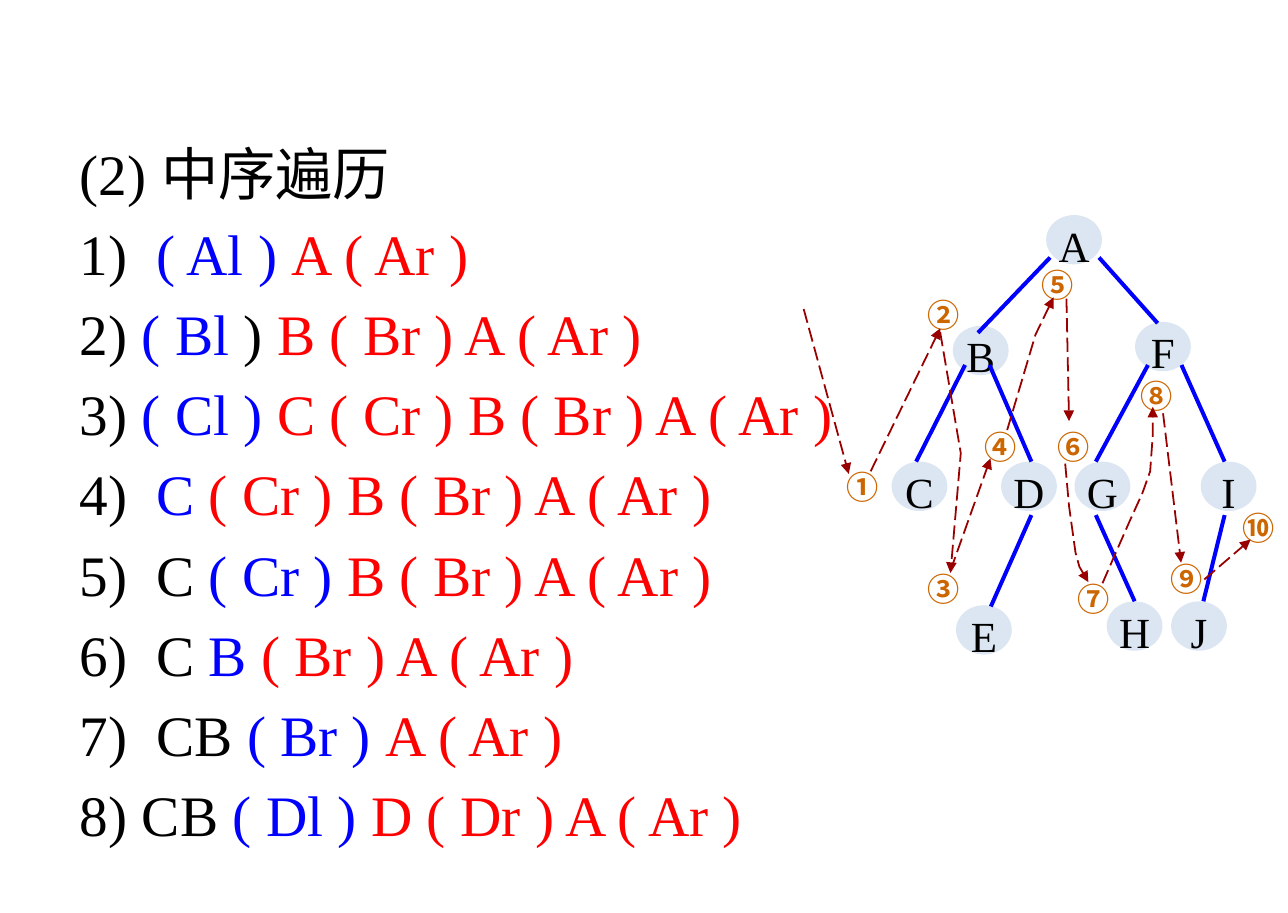
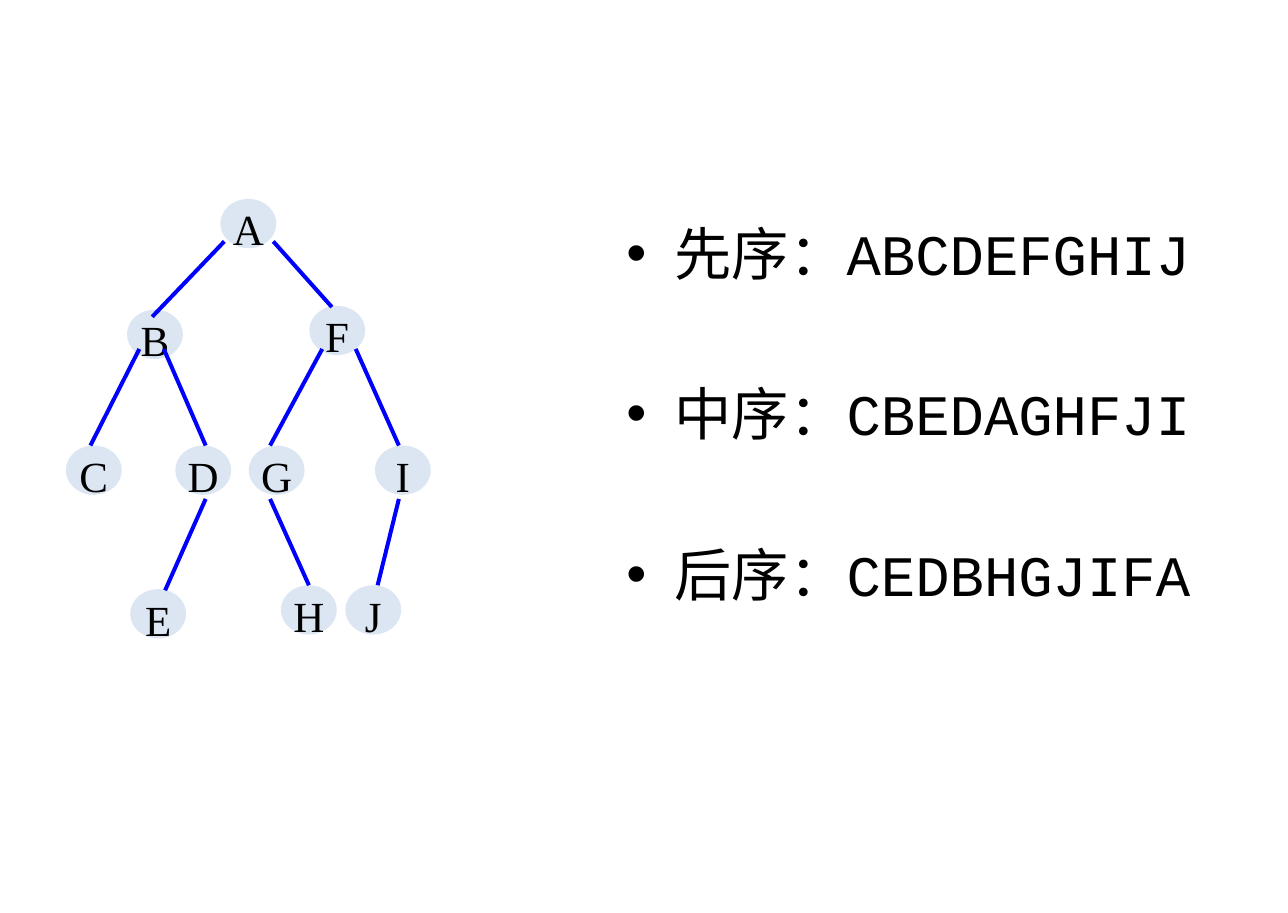
import pptx
import pptx.util
import pptx.dml.color
import pptx.enum.dml
import pptx.enum.shapes
import pptx.enum.text
import pptx.oxml.ns
import lxml.etree

COLORS = {"black": "000000", "blue": "0000FF", "red": "FF0000",
          "node": "DCE6F2", "route": "990000", "step": "CC6600"}
SERIF, MONO, CJK = "Times New Roman", "Courier New", "Noto Sans CJK SC"
CELL = pptx.util.Inches(0.1)  # grid of 100 columns by 70.9 rows
STRAIGHT = pptx.enum.shapes.MSO_CONNECTOR.STRAIGHT
qn = pptx.oxml.ns.qn


def add_run(paragraph, text, font_name, size, color="black", bold=False):
    run = paragraph.add_run()
    run.text = text
    run.font.name = font_name
    run.font.size = pptx.util.Pt(size)
    run.font.bold = bold
    run.font.color.rgb = pptx.dml.color.RGBColor.from_string(COLORS[color])
    lxml.etree.SubElement(run.font._element, qn("a:ea"), typeface=CJK)


def style_line(shape, color, width, is_route=False):
    """Colour a line without shadow; routes are dashed and end in an arrow."""
    shape.line.color.rgb = pptx.dml.color.RGBColor.from_string(COLORS[color])
    shape.line.width = pptx.util.Pt(width)
    if is_route:
        shape.line.dash_style = pptx.enum.dml.MSO_LINE.LONG_DASH
        lxml.etree.SubElement(shape.line._get_or_add_ln(), qn("a:tailEnd"), type="triangle")
    lxml.etree.SubElement(shape._element.spPr, qn("a:effectLst"))


# Tree, in cells from its left and top edges
NODE_WIDTH, NODE_HEIGHT = 4.33, 3.83
NODES = {"A": (12, 0), "B": (4.75, 8.6), "C": (0, 19.15), "D": (8.5, 19.15), "E": (5, 30.3),
         "F": (18.9, 8.3), "G": (14.2, 19.15), "H": (16.7, 30), "I": (24, 19.15),
         "J": (21.7, 30)}
EDGES = {"AB": (12.3, 3.3, 6.7, 9.15), "AF": (16.1, 3.3, 20.65, 8.4),
         "BC": (5.7, 11.65, 1.9, 19.15), "BD": (7.6, 11.65, 10.85, 19.15),
         "FG": (19.9, 11.65, 15.85, 19.15), "FI": (22.5, 11.65, 25.85, 19.15),
         "DE": (10.85, 23.3, 7.7, 30.4), "GH": (15.85, 23.3, 18.9, 30),
         "IJ": (25.85, 23.3, 24.2, 30)}

# Each line: done (black), current (blue), waiting (red)
TRAVERSAL = [
    [("(2) 中序遍历", "black")],
    [("1)  ", "black"), ("( Al ) ", "blue"), ("A ( Ar )", "red")],
    [("2) ", "black"), ("( Bl ", "blue"), (") ", "black"), ("B ( Br ) A ( Ar )", "red")],
    [("3)", "black"), (" ( Cl ) ", "blue"), ("C ( Cr ) B ( Br ) A ( Ar )", "red")],
    [("4)  ", "black"), ("C", "blue"), (" ( Cr ) B ( Br ) A ( Ar )", "red")],
    [("5)  C ", "black"), ("( Cr ) ", "blue"), ("B ( Br ) A ( Ar )", "red")],
    [("6)  C", "black"), (" B", "blue"), (" ( Br ) A ( Ar )", "red")],
    [("7)  CB ", "black"), ("( Br ) ", "blue"), ("A ( Ar )", "red")],
    [("8) CB ", "black"), ("( Dl ) ", "blue"), ("D ( Dr ) ", "red"), ("A ( Ar )", "red")],
]
ORDERS = [[(text, "black")] for text in
          ("先序：ABCDEFGHIJ", "中序：CBEDAGHFJI", "后序：CEDBHGJIFA")]

# Left and top of each numbered step, then the routes between them
STEPS = {"①": (64.7, 35.8), "②": (71, 22.45), "③": (71, 43.7), "④": (75.45, 32.7),
         "⑤": (79.9, 20.1), "⑥": (81.1, 32.7), "⑦": (82.7, 44.5), "⑧": (87.6, 28.75),
         "⑨": (89.9, 42.95), "⑩": (95.5, 39)}
ROUTES = [
    [(62.4, 24), (65.9, 36.8)],
    [(67.6, 36.6), (73, 25.5)],
    [(73, 25.8), (74.6, 35.2), (73.8, 44.5)],
    [(73.8, 44.3), (76.9, 35.6)],
    [(78.2, 33.4), (80.4, 26), (81.8, 23.1)],
    [(82.8, 23.2), (83, 32.7)],
    [(82.7, 36), (83, 39.3), (83.5, 42.9), (83.8, 44), (84.5, 45.2)],
    [(85.6, 45.3), (86.6, 43), (87.7, 40.5), (88.7, 38.3), (89.3, 36.6),
     (89.5, 33.8), (89.5, 31.6)],
    [(90.3, 32.1), (91.7, 43.7)],
    [(93.5, 45), (97.1, 41.9)],
]

presentation = pptx.Presentation()
presentation.slide_width = 100 * CELL
presentation.slide_height = int(70.9 * CELL)

# Body box, its top inset, lines, font, space before (None: the master's), tree corner
PAGES = [((5.2, 10.22, 90, 57.5), 0.5, TRAVERSAL, SERIF, None, (69.23, 16.7)),
         ((47.63, 10.22, 47.6, 53.5), 6.7, ORDERS, MONO, 51.3, (5.12, 15.45))]

for box, inset, lines, font_name, gap, (tree_left, tree_top) in PAGES:
    slide = presentation.slides.add_slide(presentation.slide_layouts[1])
    title, body = slide.placeholders
    title._element.getparent().remove(title._element)
    body.left, body.top, body.width, body.height = [int(n * CELL) for n in box]
    frame = body.text_frame
    frame.auto_size = pptx.enum.text.MSO_AUTO_SIZE.NONE
    frame.margin_top = int(inset * CELL)
    for index, line in enumerate(lines):
        paragraph = frame.paragraphs[0] if index == 0 else frame.add_paragraph()
        if gap:
            paragraph.space_before = pptx.util.Pt(gap)
        else:
            lxml.etree.SubElement(paragraph._p.get_or_add_pPr(), qn("a:buNone"))
        for text, color in line:
            add_run(paragraph, text, font_name, 32, color)

    tree = slide.shapes.add_group_shape().shapes
    ovals = {}
    for letter, (column, row) in NODES.items():
        oval = tree.add_shape(pptx.enum.shapes.MSO_SHAPE.OVAL,
                              int((tree_left + column) * CELL), int((tree_top + row) * CELL),
                              int(NODE_WIDTH * CELL), int(NODE_HEIGHT * CELL))
        oval.shadow.inherit = False
        oval.fill.solid()
        oval.fill.fore_color.rgb = pptx.dml.color.RGBColor.from_string(COLORS["node"])
        oval.line.fill.background()
        oval.text_frame.word_wrap = False
        oval.text_frame.vertical_anchor = pptx.enum.text.MSO_ANCHOR.MIDDLE
        paragraph = oval.text_frame.paragraphs[0]
        paragraph.alignment = pptx.enum.text.PP_ALIGN.CENTER
        paragraph.line_spacing = 1.2
        paragraph.space_before = pptx.util.Pt(4.8)
        add_run(paragraph, letter, SERIF, 24)
        ovals[letter] = oval
    for name, (x1, y1, x2, y2) in EDGES.items():
        edge = tree.add_connector(STRAIGHT,
                                  int((tree_left + x1) * CELL), int((tree_top + y1) * CELL),
                                  int((tree_left + x2) * CELL), int((tree_top + y2) * CELL))
        style_line(edge, "blue", 2.25)
        if name == "GH":
            edge.end_connect(ovals["H"], 0)

# Numbered walk around the first tree
slide = presentation.slides[0]
for number, (column, row) in STEPS.items():
    label = slide.shapes.add_textbox(int(column * CELL), int(row * CELL),
                                     int(4.9 * CELL), 4 * CELL)
    label.text_frame.word_wrap = True
    label.text_frame.auto_size = pptx.enum.text.MSO_AUTO_SIZE.SHAPE_TO_FIT_TEXT
    add_run(label.text_frame.paragraphs[0], number, CJK, 18, "step", bold=True)
for points in ROUTES:
    points = [(int(x * CELL), int(y * CELL)) for x, y in points]
    if len(points) == 2:
        route = slide.shapes.add_connector(STRAIGHT, *points[0], *points[1])
    else:
        builder = slide.shapes.build_freeform(*points[0])
        builder.add_line_segments(points[1:], close=False)
        route = builder.convert_to_shape()
        route.fill.background()
    style_line(route, "route", 1, is_route=True)

presentation.save("out.pptx")
